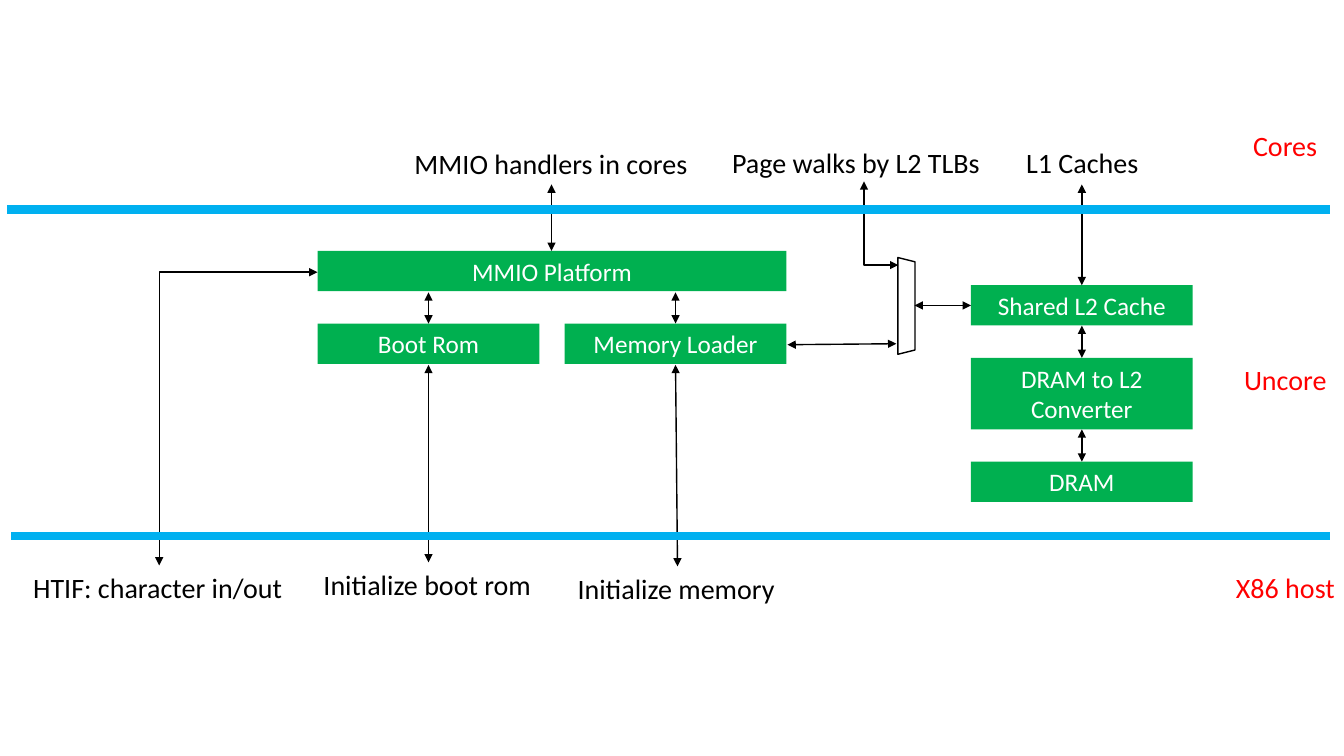
"""Build the uncore block diagram slide."""
from dataclasses import dataclass

from lxml import etree
from pptx import Presentation
from pptx.dml.color import RGBColor
from pptx.enum import shapes, text
from pptx.oxml import ns
from pptx.util import Inches, Pt

FONT = "Calibri"
BLACK, WHITE, RED = "000000", "FFFFFF", "FF0000"
GREEN, BLUE = "00B050", "00B0F0"
LEFT, CENTER = text.PP_ALIGN.LEFT, text.PP_ALIGN.CENTER
ROW, LABEL_HEIGHT = 0.4, 0.44
MODULE_WIDTH = 2.2
MMIO_LEFT, LOADER_LEFT, CACHE_LEFT = 3.15, 5.6, 9.63
BOOT_X, LOADER_X, CACHE_X, MMIO_X = 4.25, 6.7, 10.73, 5.47


@dataclass(frozen=True)
class Module:
    caption: str
    left: float
    top: float
    width: float = MODULE_WIDTH
    height: float = ROW


@dataclass(frozen=True)
class Label:
    caption: str
    left: float
    top: float
    width: float
    color: str = BLACK
    align: text.PP_ALIGN = LEFT


@dataclass(frozen=True)
class Link:
    x1: float
    y1: float
    x2: float
    y2: float
    bent: bool = False


MODULES = [
    Module("Shared L2 Cache", CACHE_LEFT, 2.83),
    Module("DRAM to L2 Converter", CACHE_LEFT, 3.55, height=0.71),
    Module("DRAM", CACHE_LEFT, 4.58),
    Module("MMIO Platform", MMIO_LEFT, 2.49, width=4.65),
    Module("Memory Loader", LOADER_LEFT, 3.21),
    Module("Boot Rom", MMIO_LEFT, 3.21),
]
LABELS = [
    Label("Page walks by L2 TLBs", 7.15, 1.39, 2.68, align=CENTER),
    Label("L1 Caches", 10.07, 1.39, 1.33, align=CENTER),
    Label("MMIO handlers in cores", 4, 1.4, 2.93, align=CENTER),
    Label("HTIF: character in/out", 0.23, 5.61, 2.7),
    Label("Initialize boot rom", 3.11, 5.58, 2.28),
    Label("Initialize memory", 5.63, 5.62, 2.18),
    Label("Cores", 12.33, 1.23, 0.84, RED),
    Label("Uncore", 12.24, 3.55, 1.03, RED),
    Label("X86 host", 12.16, 5.61, 1.19, RED),
]
LINKS = [
    Link(9.07, 3.03, CACHE_LEFT, 3.03),
    Link(CACHE_X, 3.23, CACHE_X, 3.55),
    Link(CACHE_X, 4.26, CACHE_X, 4.58),
    Link(7.81, 3.42, 8.89, 3.41),
    Link(CACHE_X, 1.83, CACHE_X, 2.83),
    Link(MMIO_X, 1.83, MMIO_X, 2.49),
    Link(LOADER_X, 2.9, LOADER_X, 3.21),
    Link(BOOT_X, 2.9, BOOT_X, 3.21),
    Link(MMIO_LEFT, 2.7, 1.58, 5.61, bent=True),
    Link(BOOT_X, 3.62, BOOT_X, 5.58),
    Link(LOADER_X, 3.62, 6.72, 5.62),
]
BOUNDARIES = [Link(0.07, 2.08, 13.19, 2.08), Link(0.11, 5.32, 13.19, 5.32)]
PAGE_WALK = [(8.57, 1.8), (8.57, 2.63), (8.91, 2.63)]


def rgb(color: str) -> RGBColor:
    """Convert a hex string to a colour."""
    return RGBColor.from_string(color)


def write(shape, caption: str, size: int, color: str, align) -> None:
    """Set and format the text of a shape."""
    shape.text_frame.text = caption
    paragraph = shape.text_frame.paragraphs[0]
    paragraph.alignment = align
    font = paragraph.runs[0].font
    font.name, font.size = FONT, Pt(size)
    font.color.rgb = rgb(color)


def stroke(shape, color: str, width: float, arrows: bool = False) -> None:
    """Style an outline, optionally with arrowheads at both ends."""
    shape.line.color.rgb = rgb(color)
    shape.line.width = Pt(width)
    if arrows:
        line = shape.line._get_or_add_ln()
        for end in ("a:headEnd", "a:tailEnd"):
            etree.SubElement(line, ns.qn(end), type="triangle")


def draw_module(slide, module: Module) -> None:
    """Draw a green hardware module."""
    shape = slide.shapes.add_shape(
        shapes.MSO_SHAPE.RECTANGLE, Inches(module.left), Inches(module.top),
        Inches(module.width), Inches(module.height))
    shape.shadow.inherit = False
    shape.fill.solid()
    shape.fill.fore_color.rgb = rgb(GREEN)
    shape.line.fill.background()
    shape.text_frame.word_wrap = True
    shape.text_frame.vertical_anchor = text.MSO_ANCHOR.MIDDLE
    write(shape, module.caption, 18, WHITE, CENTER)


def draw_label(slide, label: Label) -> None:
    """Draw a free-standing label."""
    shape = slide.shapes.add_textbox(
        Inches(label.left), Inches(label.top),
        Inches(label.width), Inches(LABEL_HEIGHT))
    shape.text_frame.word_wrap = False
    write(shape, label.caption, 20, label.color, label.align)


def draw_link(slide, link: Link, color: str = BLACK, width: float = 1,
              arrows: bool = True) -> None:
    """Draw a straight or right-angled connector."""
    kind = shapes.MSO_CONNECTOR.ELBOW if link.bent else shapes.MSO_CONNECTOR.STRAIGHT
    connector = slide.shapes.add_connector(
        kind, Inches(link.x1), Inches(link.y1), Inches(link.x2), Inches(link.y2))
    properties = connector._element.spPr
    if link.bent:
        properties.find(ns.qn("a:prstGeom")).set("prst", "bentConnector2")
    stroke(connector, color, width, arrows)
    etree.SubElement(properties, ns.qn("a:effectLst"))


def draw_multiplexer(slide) -> None:
    """Draw the multiplexer and the page walk path into it."""
    multiplexer = slide.shapes.add_shape(
        shapes.MSO_SHAPE.TRAPEZOID, Inches(8.51), Inches(2.95),
        Inches(0.96), Inches(0.17))
    multiplexer.rotation = 90
    multiplexer.shadow.inherit = False
    multiplexer.fill.solid()
    multiplexer.fill.fore_color.rgb = rgb(WHITE)
    stroke(multiplexer, BLACK, 1)
    points = [(Inches(x), Inches(y)) for x, y in PAGE_WALK]
    builder = slide.shapes.build_freeform(*points[0])
    builder.add_line_segments(points[1:], close=False)
    walk = builder.convert_to_shape()
    walk.shadow.inherit = False
    walk.fill.background()
    stroke(walk, BLACK, 1, arrows=True)


def main() -> None:
    """Build and save the presentation."""
    presentation = Presentation()
    presentation.slide_width = Inches(13.33)
    presentation.slide_height = Inches(7.5)
    slide = presentation.slides.add_slide(presentation.slide_layouts[6])
    for module in MODULES:
        draw_module(slide, module)
    draw_multiplexer(slide)
    for link in LINKS:
        draw_link(slide, link)
    for boundary in BOUNDARIES:
        draw_link(slide, boundary, BLUE, 6, arrows=False)
    for label in LABELS:
        draw_label(slide, label)
    presentation.save("out.pptx")


main()
